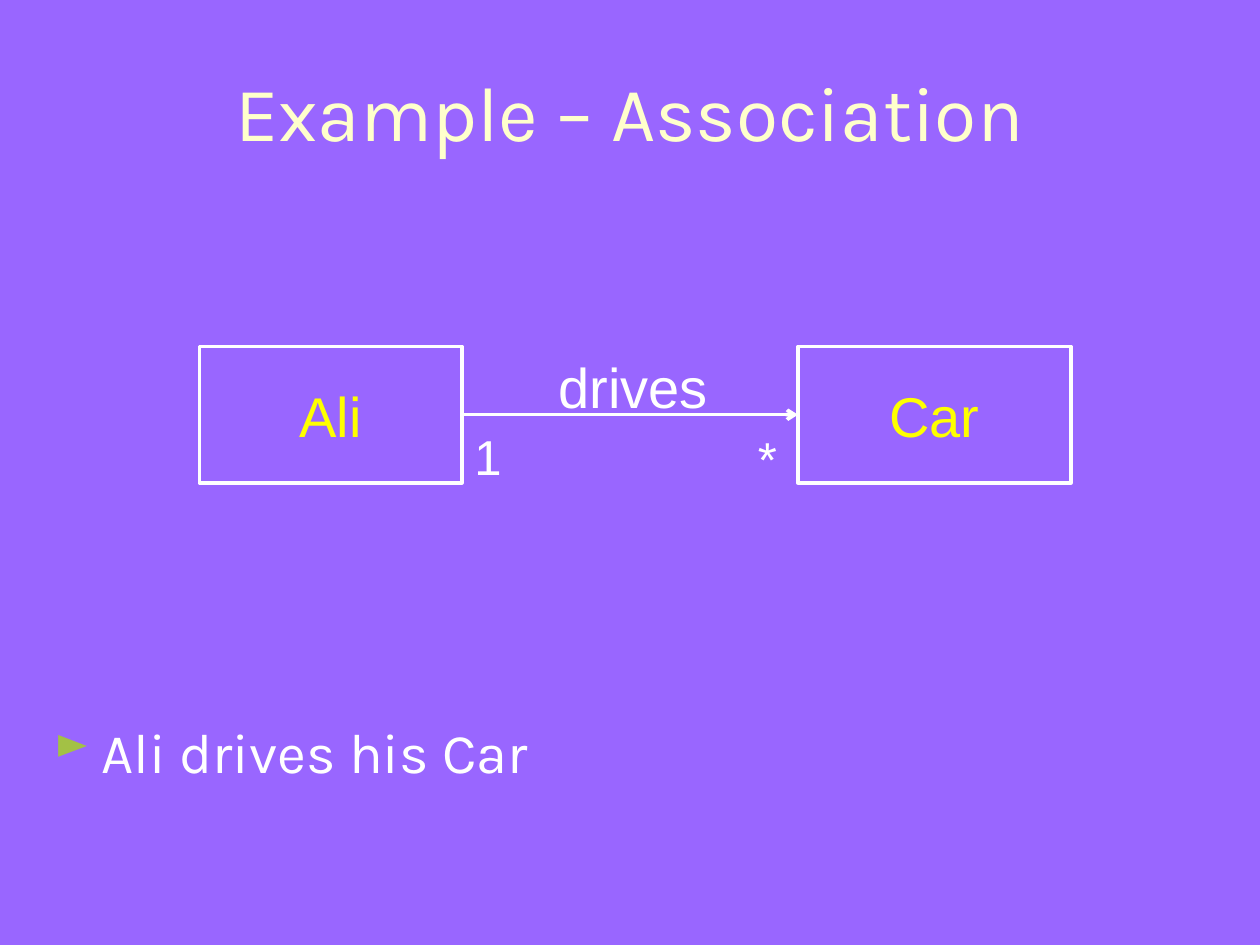
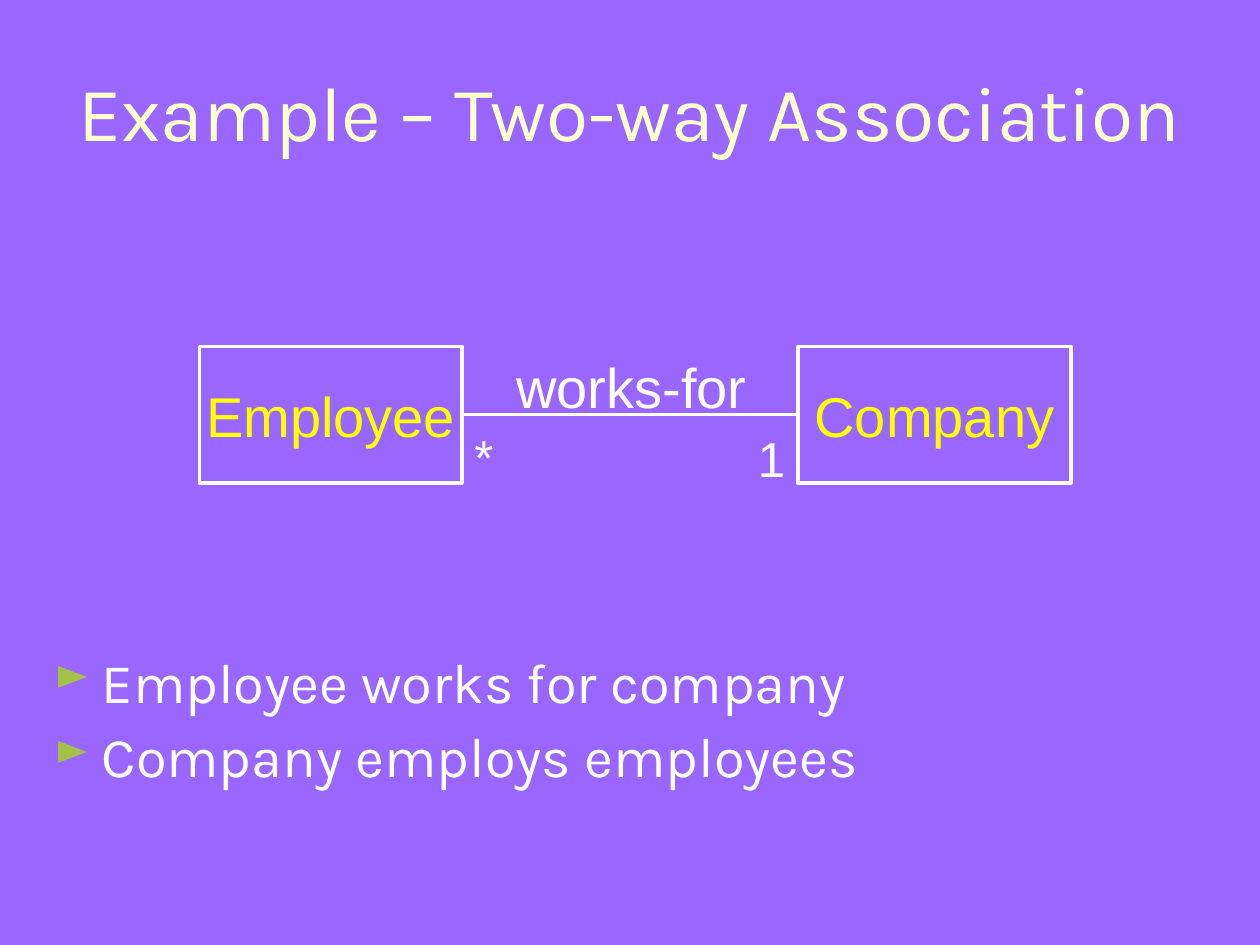
"""Build two slides that show class associations."""
from lxml.etree import SubElement
from pptx import Presentation
from pptx.dml.color import RGBColor
from pptx.enum.shapes import MSO_CONNECTOR, MSO_SHAPE
from pptx.enum.text import MSO_ANCHOR, MSO_AUTO_SIZE, PP_ALIGN
from pptx.oxml.ns import qn
from pptx.util import Emu, Pt

PIXEL = 7620
COLOURS = {
    "background": "9966FF",
    "title": "FFFFCC",
    "text": "FFFFFF",
    "name": "FFFF00",
    "bullet": "A3C145",
}
HEADING_FONT = "Karla"
DIAGRAM_FONT = "Arial"


def px(length):
    """Turn pixels into EMU."""
    return Emu(length * PIXEL)


def colour(name):
    """Return a named colour."""
    return RGBColor.from_string(COLOURS[name])


def add_span(para, words, size, font, tone):
    """Add one styled run to a paragraph."""
    span = para.add_run()
    span.text = words
    span.font.size = Pt(size)
    span.font.name = font
    span.font.color.rgb = colour(tone)


def add_text_box(page, left, top, width, height):
    """Add an empty wrapping text box and return its frame."""
    box = page.shapes.add_textbox(px(left), px(top), px(width), px(height))
    box.text_frame.word_wrap = True
    return box.text_frame


def add_title(page, words):
    """Add the centred slide title."""
    frame = add_text_box(page, 40, 30, 1120, 150)
    frame.vertical_anchor = MSO_ANCHOR.MIDDLE
    para = frame.paragraphs[0]
    para.alignment = PP_ALIGN.CENTER
    add_span(para, words, 44, HEADING_FONT, "title")


def add_bullet(para):
    """Give a paragraph a hanging triangle bullet."""
    properties = para._p.get_or_add_pPr()
    properties.set("marL", str(px(45)))
    properties.set("indent", str(-px(45)))
    tone = SubElement(properties, qn("a:buClr"))
    SubElement(tone, qn("a:srgbClr"), val=COLOURS["bullet"])
    SubElement(properties, qn("a:buSzPct"), val="80000")
    SubElement(properties, qn("a:buChar"), char="►")


def add_bullets(page, top, height, lines, spacing):
    """Add the bulleted explanation under the diagram."""
    frame = add_text_box(page, 40, top, 1120, height)
    for index, words in enumerate(lines):
        para = frame.add_paragraph() if index else frame.paragraphs[0]
        para.space_before = Pt(8)
        para.line_spacing = spacing
        add_bullet(para)
        add_span(para, words, 32, HEADING_FONT, "text")


def add_class_box(page, left, width, name):
    """Add an outlined class box and return it."""
    box = page.shapes.add_shape(
        MSO_SHAPE.RECTANGLE, px(left), px(330), px(width), px(130))
    box.shadow.inherit = False
    box.fill.background()
    box.line.color.rgb = colour("text")
    box.line.width = Pt(2)
    frame = box.text_frame
    frame.word_wrap = False
    frame.vertical_anchor = MSO_ANCHOR.MIDDLE
    para = frame.paragraphs[0]
    para.alignment = PP_ALIGN.CENTER
    add_span(para, name, 32, DIAGRAM_FONT, "name")
    return box


def add_label(page, left, top, width, height, words, size):
    """Add a diagram label whose box grows with its text."""
    frame = add_text_box(page, left, top, width, height)
    frame.auto_size = MSO_AUTO_SIZE.SHAPE_TO_FIT_TEXT
    para = frame.paragraphs[0]
    para.space_before = Pt(size * 0.625)
    add_span(para, words, size, DIAGRAM_FONT, "text")


def join_boxes(page, source, target, directed):
    """Join two class boxes, with an arrowhead if directed."""
    link = page.shapes.add_connector(MSO_CONNECTOR.STRAIGHT, 0, 0, 0, 0)
    link.begin_connect(source, 3)
    link.end_connect(target, 1)
    link.line.color.rgb = colour("text")
    link.line.width = Pt(2)
    if directed:
        SubElement(link.line._get_or_add_ln(), qn("a:tailEnd"), type="arrow")
    SubElement(link._element.spPr, qn("a:effectLst"))


def add_association(page, names, counts, verb, verb_left, verb_width, directed):
    """Draw two classes, their link, its verb and its multiplicities."""
    source = add_class_box(page, 190, 250, names[0])
    target = add_class_box(page, 760, 260, names[1])
    join_boxes(page, source, target, directed)
    add_label(page, verb_left, 330, verb_width, 77, verb, 32)
    add_label(page, 440, 400, 50, 68, counts[0], 28)
    add_label(page, 710, 402, 50, 68, counts[1], 28)


def main():
    """Build and save the deck."""
    deck = Presentation()
    deck.slide_width, deck.slide_height = px(1200), px(900)
    background = deck.slide_master.background.fill
    background.solid()
    background.fore_color.rgb = colour("background")
    blank = deck.slide_layouts[6]

    page = deck.slides.add_slide(blank)
    add_title(page, "Example – Association")
    add_association(page, ("Ali", "Car"), ("1", "*"), "drives", 520, 190, True)
    add_bullets(page, 677, 79, ["Ali drives his Car"], 1.0)

    page = deck.slides.add_slide(blank)
    add_title(page, "Example – Two-way Association")
    add_association(page, ("Employee", "Company"), ("*", "1"),
                    "works-for", 480, 250, False)
    add_bullets(page, 618, 149,
                ["Employee works for company", "Company employs employees"], 0.9)

    deck.save("out.pptx")


if __name__ == "__main__":
    main()
